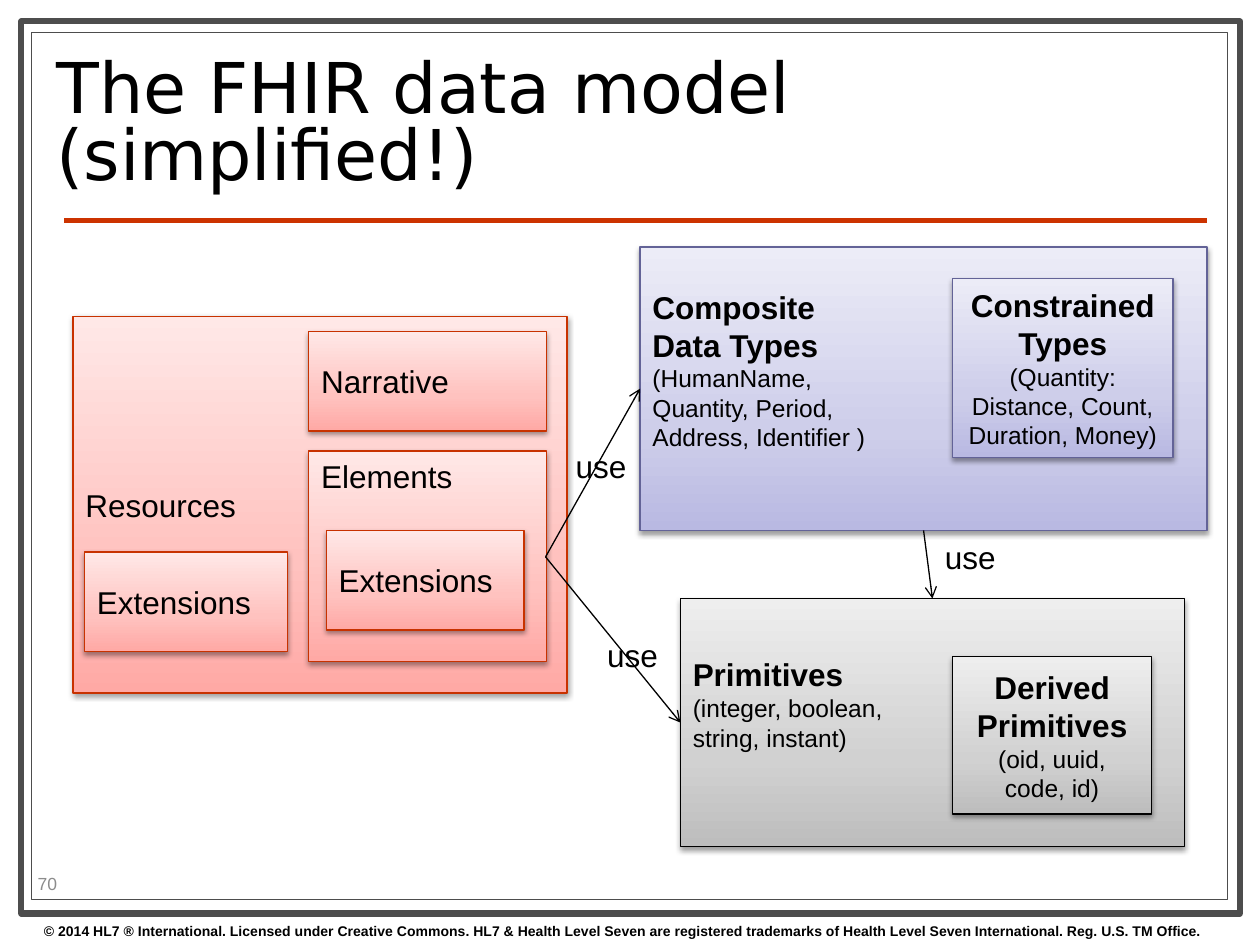
from lxml import etree
from pptx import Presentation
from pptx.dml.color import RGBColor
from pptx.enum.shapes import MSO_CONNECTOR, MSO_SHAPE
from pptx.enum.text import MSO_ANCHOR, PP_ALIGN
from pptx.oxml import parse_xml
from pptx.oxml.ns import nsdecls, qn
from pptx.util import Inches, Pt

LEFT, MID = PP_ALIGN.LEFT, PP_ALIGN.CENTER
TOP, MIDDLE = MSO_ANCHOR.TOP, MSO_ANCHOR.MIDDLE
RECT, LINE = MSO_SHAPE.RECTANGLE, MSO_CONNECTOR.STRAIGHT

BLACK = RGBColor(0, 0, 0)
WHITE = RGBColor(255, 255, 255)
FRAME = RGBColor(0x4D, 0x4D, 0x4D)
GREY = RGBColor(0x8C, 0x8C, 0x8C)
RULE = RGBColor(0xCC, 0x33, 0x00)
RED = RGBColor(0xC8, 0x32, 0x00)
BLUE = RGBColor(0x63, 0x63, 0x97)

REDS = (RED, ("FFA9A5", "FFC2BF", "FFE8E7"))
BLUES = (BLUE, ("B9B9E2", "CECEEA", "ECECF7"))
GREYS = (BLACK, ("BDBDBD", "D1D1D1", "EEEEEE"))
STOPS = (0, 35000, 100000)

BIG = {"size": Pt(18), "bold": False}
HEAD = {"size": Pt(18), "bold": True}
SMALL = {"size": Pt(14), "bold": False}


def write(frame, rows, align=LEFT, anchor=MIDDLE, wrap=True, space=None):
    frame.word_wrap = wrap
    frame.vertical_anchor = anchor
    for i, (text, style) in enumerate(rows):
        para = frame.paragraphs[0] if i == 0 else frame.add_paragraph()
        para.alignment = align
        para.line_spacing = space
        run = para.add_run()
        run.text = text
        run.font.color.rgb = BLACK
        for key, value in {"name": "Arial", **style}.items():
            setattr(run.font, key, value)
    return frame


def label(slide, box, text, style, **format):
    frame = slide.shapes.add_textbox(*map(Inches, box)).text_frame
    write(frame, [(text, style)], **format)
    return frame.paragraphs[0].runs[0].font


def border(slide, box, width):
    shape = slide.shapes.add_shape(RECT, *map(Inches, box))
    shape.shadow.inherit = False
    shape.fill.solid()
    shape.fill.fore_color.rgb = WHITE
    shape.line.color.rgb = FRAME
    shape.line.width = Pt(width)


def stroke(slide, start, end, color, width, arrow=False):
    line = slide.shapes.add_connector(LINE, *map(Inches, start + end))
    line.line.color.rgb = color
    line.line.width = Pt(width)
    props = line._element.spPr
    if arrow:
        etree.SubElement(props.find(qn("a:ln")), qn("a:tailEnd"), type="arrow")
    etree.SubElement(props, qn("a:effectLst"))


def card(slide, box, theme, rows, align=LEFT, anchor=MIDDLE, foot=0.05):
    shape = slide.shapes.add_shape(RECT, *map(Inches, box))
    edge, shades = theme
    shape.fill.gradient()
    shape.fill.gradient_angle = 90
    shape.line.color.rgb = edge
    shape.line.width = Pt(0.75)
    shape.shadow.inherit = False
    props = shape._element.spPr
    stops = props.find(".//" + qn("a:gsLst"))
    for stop in list(stops):
        stops.remove(stop)
    for pos, shade in zip(STOPS, shades):
        stop = etree.SubElement(stops, qn("a:gs"), pos=str(pos))
        etree.SubElement(stop, qn("a:srgbClr"), val=shade)
    props.find(qn("a:effectLst")).append(parse_xml(
        f'<a:outerShdw {nsdecls("a")} blurRad="{Pt(3.1)}" dist="{Pt(1.6)}" '
        'dir="5400000" rotWithShape="0"><a:srgbClr val="000000">'
        '<a:alpha val="38000"/></a:srgbClr></a:outerShdw>'))
    write(shape.text_frame, rows, align, anchor).margin_bottom = Inches(foot)


def base(slide, box):
    x, y, w, h = box
    border(slide, (x + 0.17, y + 0.17, w - 0.33, h - 0.42), 3.5)
    border(slide, (x + 0.25, y + 0.26, w - 0.51, h - 0.62), 0.75)
    stroke(slide, (x + 0.51, y + 1.75), (x + w - 0.42, y + 1.75), RULE, 3)
    label(slide, (x + 0.25, y + h - 0.23, w - 0.25, 0.23),
          "© 2014 HL7 ® International. Licensed under Creative Commons. "
          "HL7 & Health Level Seven are registered trademarks of "
          "Health Level Seven International. Reg. U.S. TM Office.",
          {"size": Pt(8), "bold": True}, anchor=TOP)
    label(slide, (x + 0.35, y + 0.36, 7.17, 1.29),
          "The FHIR data model (simplified!)",
          {"name": "DejaVu Sans", "size": Pt(40)}, space=0.8)
    number = label(slide, (x + 0.2, y + h - 0.61, 0.79, 0.24), "70",
                   {"size": Pt(10)})
    number.color.rgb = GREY


def resources(slide, box):
    x, y = box[:2]
    card(slide, box, REDS, [("Resources", BIG)])
    parts = [
        ("Narrative", (1.87, 0.12, 1.89, 0.79), MIDDLE),
        ("Elements", (1.87, 1.07, 1.89, 1.67), TOP),
        ("Extensions", (2.01, 1.7, 1.57, 0.79), MIDDLE),
        ("Extensions", (0.09, 1.87, 1.61, 0.79), MIDDLE),
    ]
    for text, (dx, dy, w, h), anchor in parts:
        card(slide, (x + dx, y + dy, w, h), REDS, [(text, BIG)], anchor=anchor)


def types(slide, box):
    x, y = box[:2]
    card(slide, box, BLUES, [
        ("Composite", HEAD), ("Data Types", HEAD), ("(HumanName,", SMALL),
        ("Quantity, Period,", SMALL), ("Address, Identifier )", SMALL),
    ], foot=0.35)
    card(slide, (x + 2.48, y + 0.25, 1.75, 1.42), BLUES, [
        ("Constrained Types", HEAD),
        ("(Quantity: Distance, Count, Duration, Money)", SMALL),
    ], align=MID)


def atoms(slide, box):
    x, y = box[:2]
    card(slide, box, GREYS, [
        ("Primitives", HEAD), ("(integer, boolean,", SMALL),
        ("string, instant)", SMALL),
    ], foot=0.35)
    card(slide, (x + 2.16, y + 0.46, 1.58, 1.25), GREYS, [
        ("Derived Primitives", HEAD), ("(oid, uuid,", SMALL),
        ("code, id)", SMALL),
    ], align=MID)


def links(slide, source, comp, prim):
    start = (source[0] + 3.75, source[1] + 1.91)
    ties = [
        (start, (comp[0], comp[1] + comp[3] / 2), (4.47, 3.5)),
        (start, (prim[0], prim[1] + prim[3] / 2), (4.72, 5)),
        ((comp[0] + comp[2] / 2, comp[1] + comp[3]),
         (prim[0] + prim[2] / 2, prim[1]), (7.4, 4.22)),
    ]
    for begin, end, spot in ties:
        stroke(slide, begin, end, BLACK, 0.75, arrow=True)
        label(slide, spot + (0.61, 0.4), "use", BIG, anchor=TOP, wrap=False)


def main():
    deck = Presentation()
    deck.slide_width, deck.slide_height = Inches(10), Inches(7.5)
    slide = deck.slides.add_slide(deck.slide_layouts[6])
    source = (0.58, 2.51, 3.92, 2.99)
    comp = (5.08, 1.96, 4.5, 2.25)
    prim = (5.4, 4.75, 4, 1.97)
    base(slide, (0, 0, 10, 7.5))
    resources(slide, source)
    types(slide, comp)
    atoms(slide, prim)
    links(slide, source, comp, prim)
    deck.save("out.pptx")


if __name__ == "__main__":
    main()
